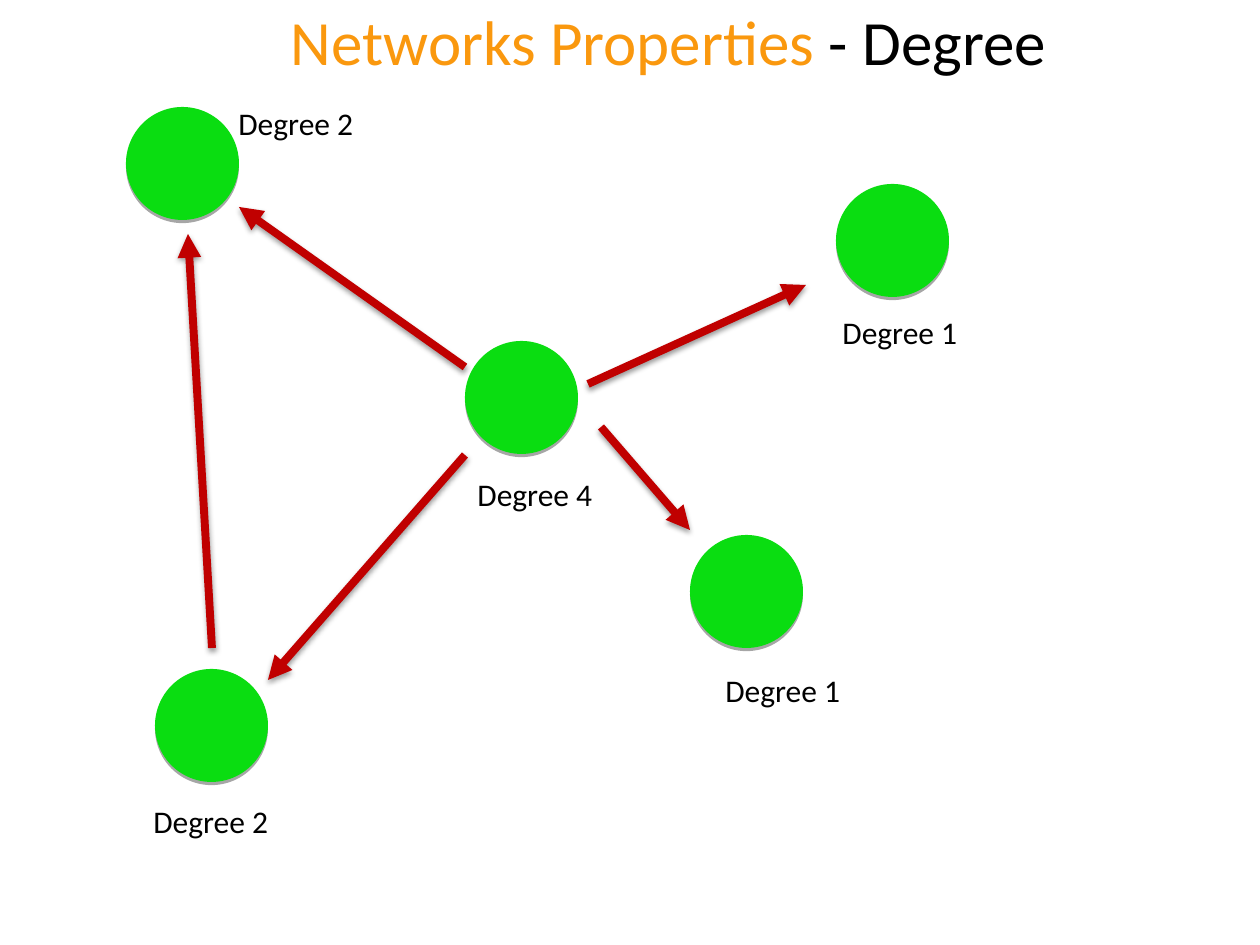
from lxml.etree import SubElement
from pptx import Presentation
from pptx.dml.color import RGBColor
from pptx.enum.shapes import MSO_CONNECTOR as Connector, MSO_SHAPE as Shape
from pptx.enum.text import MSO_ANCHOR as Anchor, MSO_AUTO_SIZE as AutoSize, PP_ALIGN as Align
from pptx.oxml.ns import qn
from pptx.util import Pt

PX = 914400 / 126
FONT = "Calibri"
COLORS = {"node": "0ADD11", "edge": "C00000", "title": "FA980E", "text": "000000"}
NODE_SIZE = 113
LABEL_SIZE = (142, 50)

NODES = [
    ((465, 341), "Degree 4", (0, 128)),
    ((690, 535), "Degree 1", (23, 130)),
    ((836, 184), "Degree 1", (-6, 123)),
    ((155, 669), "Degree 2", (-14, 127)),
    ((126, 107), "Degree 2", (100, -9)),
]
EDGES = [
    ((588, 384), (806, 285)),
    ((601, 427), (690, 530)),
    ((465, 367), (239, 207)),
    ((465, 455), (268, 680)),
    ((212, 648), (188, 234)),
]


def emu(*lengths):
    return [round(length * PX) for length in lengths]


def color(name):
    return RGBColor.from_string(COLORS[name])


def style_run(run, size, color_name):
    run.font.name = FONT
    run.font.size = Pt(size)
    run.font.color.rgb = color(color_name)


def add_shadow(element, opacity, blur, distance):
    effects = SubElement(element.spPr, qn("a:effectLst"))
    shadow = SubElement(effects, qn("a:outerShdw"), blurRad=str(Pt(blur)),
                        dist=str(Pt(distance)), dir="5400000", rotWithShape="0")
    black = SubElement(shadow, qn("a:srgbClr"), val=COLORS["text"])
    SubElement(black, qn("a:alpha"), val=str(opacity * 1000))


def add_title(slide, left, top, width, height):
    title = slide.shapes.title
    title.left, title.top, title.width, title.height = emu(left, top, width, height)
    frame = title.text_frame
    frame.vertical_anchor = Anchor.MIDDLE
    heading = frame.paragraphs[0]
    heading.alignment = Align.CENTER
    for words, color_name in (("Networks Properties ", "title"), ("- Degree", "text")):
        run = heading.add_run()
        run.text = words
        style_run(run, 36, color_name)


def add_node(slide, left, top):
    node = slide.shapes.add_shape(Shape.OVAL, *emu(left, top, NODE_SIZE, NODE_SIZE))
    node.fill.solid()
    node.fill.fore_color.rgb = color("node")
    node.line.fill.background()
    add_shadow(node._element, 35, 0, 1.8)


def add_edge(slide, start, end):
    edge = slide.shapes.add_connector(Connector.STRAIGHT, *emu(*start, *end))
    edge.line.color.rgb = color("edge")
    edge.line.width = Pt(4.5)
    SubElement(edge.line._get_or_add_ln(), qn("a:tailEnd"), type="triangle")
    add_shadow(edge._element, 38, 3.1, 1.6)


def add_label(slide, left, top, words):
    label = slide.shapes.add_textbox(*emu(left, top, *LABEL_SIZE))
    frame = label.text_frame
    frame.word_wrap = False
    frame.auto_size = AutoSize.SHAPE_TO_FIT_TEXT
    frame.text = words
    style_run(frame.paragraphs[0].runs[0], 18, "text")


def add_network(slide, left, top):
    for (x, y), _, _ in NODES:
        add_node(slide, left + x, top + y)
    for start, end in EDGES:
        add_edge(slide, (left + start[0], top + start[1]), (left + end[0], top + end[1]))
    for (x, y), words, (dx, dy) in NODES:
        add_label(slide, left + x + dx, top + y + dy, words)


def main():
    deck = Presentation()
    deck.slide_width, deck.slide_height = emu(1260, 945)
    slide = deck.slides.add_slide(deck.slide_layouts[0])
    subtitle = slide.placeholders[1]._element
    subtitle.getparent().remove(subtitle)
    add_title(slide, 97, -21, 1143, 123)
    add_network(slide, 0, 0)
    deck.save("out.pptx")


if __name__ == "__main__":
    main()
